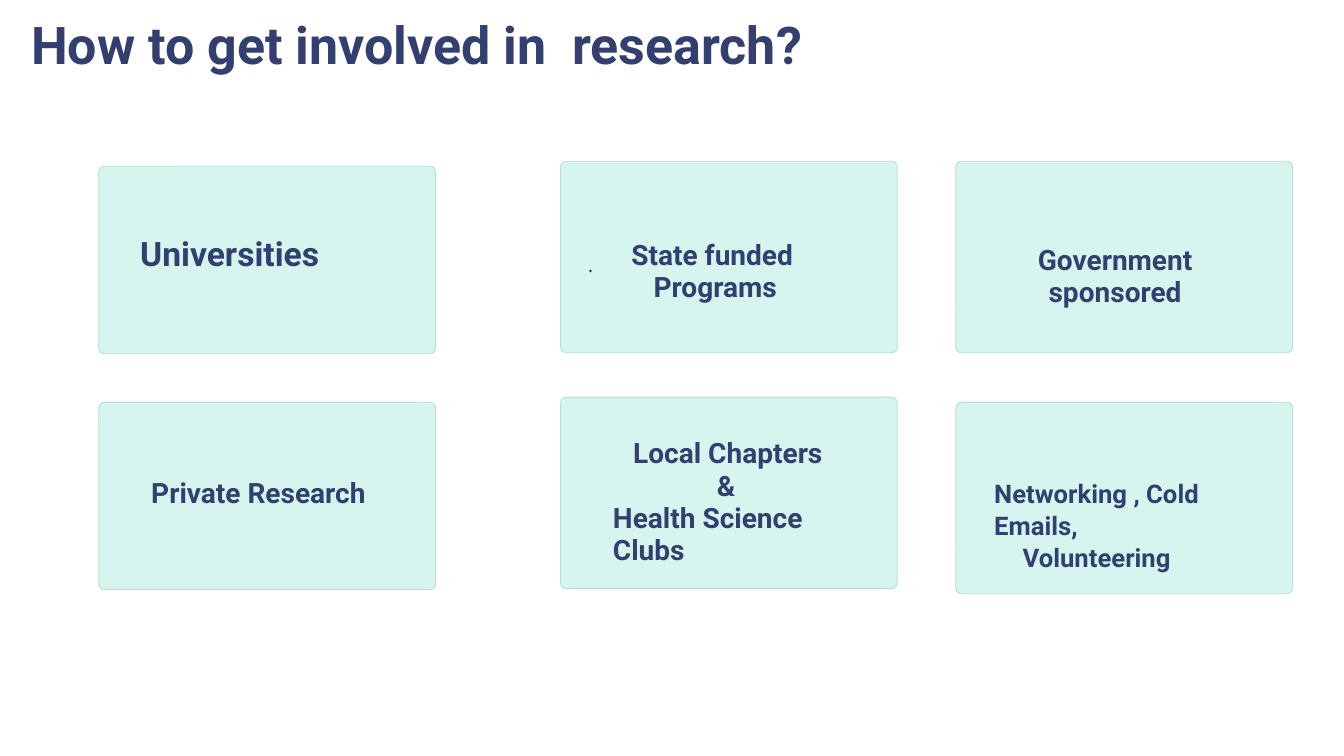
from pptx import Presentation
from pptx.dml.color import RGBColor
from pptx.enum import shapes, text
from pptx.util import Inches, Pt

COLORS = {"ink": "333F70", "card": "D6F5EE", "edge": "BCDBD4", "page": "FFFFFF"}
LEFT, CENTER = text.PP_ALIGN.LEFT, text.PP_ALIGN.CENTER
CARD_WIDTH = 3.34
LABEL_HEIGHT = 0.32

# Card: left, top, height; label: left, top, width, size;
# lines: text, alignment, left indent
CARDS = [
    ((0.98, 1.65, 1.86), (1.39, 2.39, 2.58, 24), [("Universities", LEFT, 0)]),
    ((5.56, 1.6, 1.9), (5.55, 2.37, 3.03, 20),
     [("State funded", CENTER, 0), ("Programs", CENTER, 0.06)]),
    ((9.48, 1.6, 1.9), (9.77, 2.42, 2.58, 20), [("Government sponsored", CENTER, 0)]),
    ((0.98, 3.99, 1.86), (1.5, 4.73, 2.58, 20), [("Private Research", LEFT, 0)]),
    ((5.56, 3.94, 1.9), (6.08, 4.34, 2.66, 20),
     [("Local Chapters", LEFT, 0.2), ("&", LEFT, 1.03), ("Health Science Clubs", LEFT, 0)]),
    ((9.48, 3.99, 1.9), (9.86, 4.73, 2.92, 18.3),
     [("Networking , Cold Emails,", LEFT, 0), ("Volunteering", CENTER, 0)]),
]


def color(name):
    return RGBColor.from_string(COLORS[name])


def apply(target, values):
    for name, value in values.items():
        setattr(target, name, value)


def add_label(slide, box, lines, size, spacing, font="Roboto", bold=True, wrap=False):
    """Add a text box without margins, one paragraph for each line."""
    frame = slide.shapes.add_textbox(*map(Inches, box)).text_frame
    apply(frame, {"margin_left": 0, "margin_top": 0, "margin_right": 0,
                  "margin_bottom": 0, "word_wrap": wrap})
    for index, (words, alignment, indent) in enumerate(lines):
        paragraph = frame.add_paragraph() if index else frame.paragraphs[0]
        apply(paragraph, {"alignment": alignment, "line_spacing": Pt(spacing)})
        if indent:
            paragraph._p.get_or_add_pPr().set("marL", str(Inches(indent)))
        run = paragraph.add_run()
        run.text = words
        apply(run.font, {"name": font, "size": Pt(size), "bold": bold})
        run.font.color.rgb = color("ink")


def add_card(slide, left, top, height):
    card = slide.shapes.add_shape(
        shapes.MSO_SHAPE.ROUNDED_RECTANGLE,
        *map(Inches, (left, top, CARD_WIDTH, height)))
    card.adjustments[0] = 0.03
    card.shadow.inherit = False
    card.fill.solid()
    card.fill.fore_color.rgb = color("card")
    card.line.color.rgb = color("edge")
    card.line.width = Pt(0.6)


def main():
    presentation = Presentation()
    apply(presentation, {"slide_width": Inches(13.33), "slide_height": Inches(7.5)})
    slide = presentation.slides.add_slide(presentation.slide_layouts[6])
    slide.background.fill.solid()
    slide.background.fill.fore_color.rgb = color("page")

    add_label(slide, (0.31, 0.1, 8.01, 0.66),
              [("How to get involved in  research?", LEFT, 0)], 37.1, 46.2)
    for card, (left, top, width, size), lines in CARDS:
        add_card(slide, *card)
        add_label(slide, (left, top, width, LABEL_HEIGHT), lines, size, 22.9)
    add_label(slide, (5.83, 2.41, 2.91, 0.99), [(".", LEFT, 0)], 14.6, 23.8,
              font="Open Sans", bold=False, wrap=True)
    presentation.save("out.pptx")


if __name__ == "__main__":
    main()
